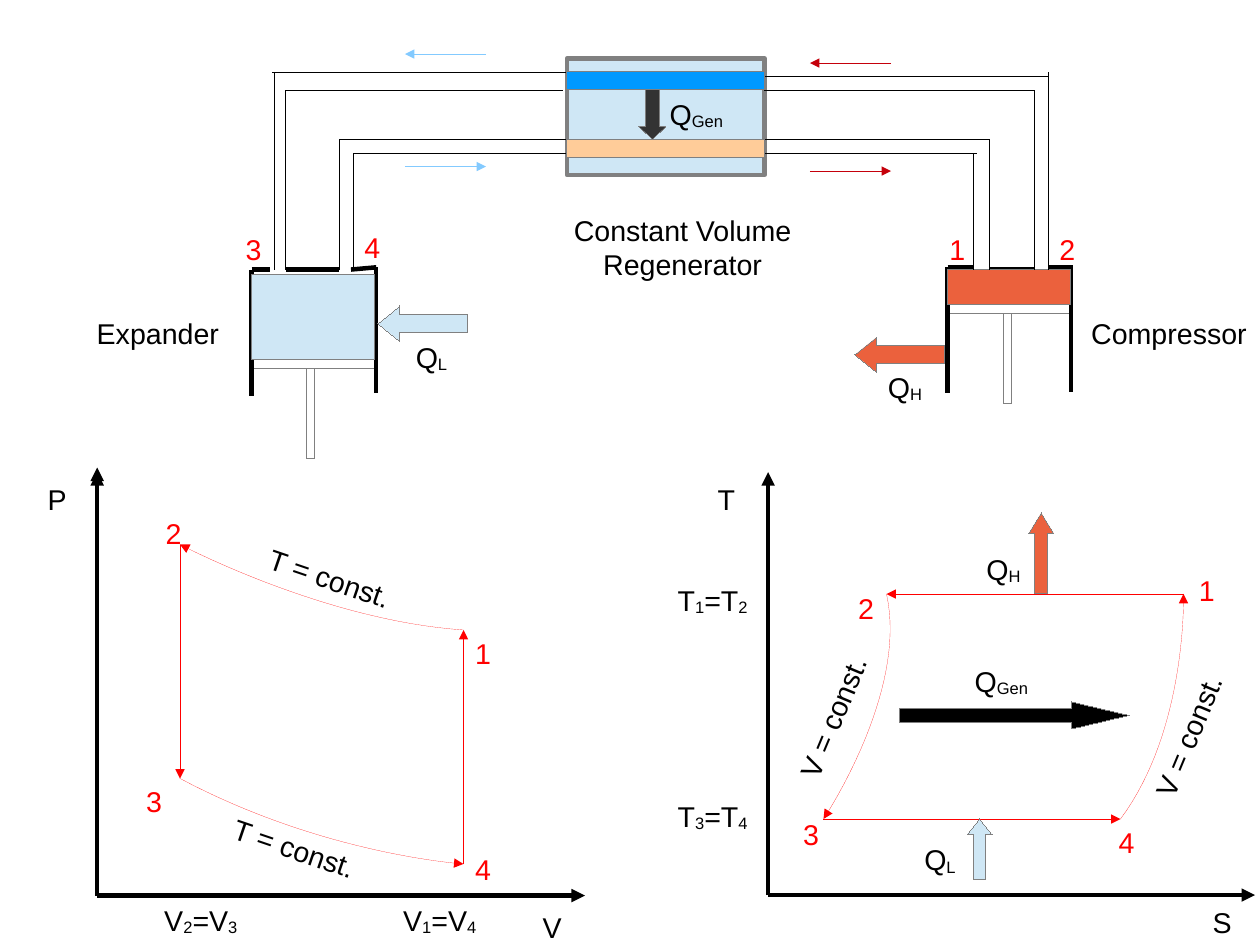
"""Build a slide of a regenerative engine with its P-V and T-S diagrams."""
from typing import NamedTuple

from lxml.etree import SubElement
from pptx import Presentation
from pptx.dml.color import RGBColor
from pptx.enum.shapes import MSO_CONNECTOR, MSO_SHAPE as Preset
from pptx.enum.text import MSO_AUTO_SIZE, PP_ALIGN
from pptx.oxml.ns import qn
from pptx.util import Cm, Pt

COLUMNS, ROWS = 28, 21
WIDTH, HEIGHT = Cm(28), Cm(21)
BLACK, WHITE = RGBColor(0, 0, 0), RGBColor(255, 255, 255)
RED, DARK_RED = RGBColor(255, 0, 0), RGBColor(0xC5, 0, 0x0B)
GRAY, CHARCOAL = RGBColor(0x80, 0x80, 0x80), RGBColor(0x33, 0x33, 0x33)
COLD, HOT = RGBColor(0xCF, 0xE7, 0xF5), RGBColor(0xEB, 0x61, 0x3D)
BLUE, PEACH = RGBColor(0, 0x99, 0xFF), RGBColor(0xFF, 0xCC, 0x99)
SKY = RGBColor(0x83, 0xCA, 0xFF)
HAIRLINE, THICK = 0, 2.83
DECK = 5.99
Point = tuple[float, float]


class Stroke(NamedTuple):
    start: Point
    end: Point
    color: RGBColor = BLACK
    weight: float = HAIRLINE
    arrow: bool = False


class Block(NamedTuple):
    left: float
    top: float
    width: float
    height: float
    fill: RGBColor
    preset: Preset = Preset.RECTANGLE
    head: float = 0
    weight: float = HAIRLINE


class PipeWall(NamedTuple):
    inner: float
    outer: float
    level: float
    riser: float
    top: float


class Cylinder(NamedTuple):
    left: float
    piston: float
    gas_top: float
    gas: RGBColor
    walls: tuple[Stroke, ...]


class Label(NamedTuple):
    """Text whose odd parts, split at bars, are subscripts."""
    text: str
    left: float
    top: float
    width: float = 0.79
    wrap: bool = True
    rotation: float = 0


def wall(x1: float, y1: float, x2: float, y2: float) -> Stroke:
    return Stroke((x1, y1), (x2, y2), weight=THICK)


PV = {1: (10.3, 14), 2: (4, 12.1), 3: (4, 17.3), 4: (10.3, 19.2)}
TS = {1: (26.3, 13.2), 2: (19.7, 13.2), 3: (18.3, 18.2), 4: (24.9, 18.2)}
AXES = [Stroke(start, end, weight=THICK, arrow=True) for start, end in (
    ((17.07, 19.89), (27.89, 19.89)), ((17.07, 19.89), (17.07, 10.49)),
    ((2.16, 19.9), (2.16, 10.49)), ((2.16, 19.9), (13, 19.9)),
    ((2.16, 19.8), (2.16, 10.39)))]
PROCESSES = [Stroke(states[a], states[b], RED, arrow=True)
             for states, a, b in ((PV, 2, 3), (PV, 4, 1), (TS, 1, 2), (TS, 3, 4))]
CURVES = ((PV[1], (7.19, 13.79), PV[2]), (PV[3], (7.19, 19), PV[4]),
          (TS[2], (20.19, 15.39), TS[3]), (TS[4], (26.39, 16.21), TS[1]))
FLOWS = [Stroke((start, y), (end, y), color, arrow=True) for start, end, y, color in (
    (18, 19.8, 3.8, DARK_RED), (19.8, 18, 1.4, DARK_RED),
    (10.8, 9, 1.2, SKY), (9, 10.8, 3.7, SKY))]
CYLINDERS = (
    Cylinder(5.59, 8, 6.1, COLD, (
        wall(5.59, 5.99, 5.59, 8.79), wall(8.36, 5.94, 8.36, 8.74),
        wall(5.59, 5.99, 5.99, 5.99), wall(7.8, 5.99, 8.36, 5.94),
        wall(6.35, 5.99, 7.54, 5.99))),
    Cylinder(21.06, 6.76, 5.99, HOT, (
        wall(21.06, 5.94, 21.06, 8.74), wall(23.8, 5.89, 23.8, 8.71),
        wall(22, 5.99, 22.99, 5.99), wall(21.06, 5.94, 21.64, 5.94),
        wall(23.29, 5.94, 23.75, 5.94))))
PIPES = (
    PipeWall(12.6, 7.85, 3.4, 7.85, 3.4), PipeWall(12.6, 7.54, 3.1, 7.54, 3.1),
    PipeWall(16.94, 21.69, 3.4, 21.64, 3.4), PipeWall(16.94, 22, 3.1, 22, 3.1),
    PipeWall(16.99, 22.99, 2, 22.99, 2), PipeWall(16.99, 23.29, 1.7, 23.29, 1.6),
    PipeWall(12.5, 6.35, 2, 6.35, 2), PipeWall(12.6, 6.05, 1.6, 6.1, 1.6))
REGENERATOR = Block(12.6, 1.3, 4.39, 2.59, COLD, weight=THICK)
STREAMS = [Block(12.6, top, 4.39, 0.4, fill) for top, fill in ((3.1, PEACH), (1.6, BLUE))]
HEAT_ARROWS = (
    Block(22.86, 11.4, 0.56, 1.8, HOT, Preset.UP_ARROW, 0.82),
    Block(21.49, 18.2, 0.56, 1.35, COLD, Preset.UP_ARROW, 0.62),
    Block(8.4, 6.8, 2, 0.79, COLD, Preset.LEFT_ARROW, 0.62),
    Block(19, 7.49, 2, 0.79, HOT, Preset.LEFT_ARROW, 0.62),
    Block(14.2, 2, 0.6, 1.09, CHARCOAL, Preset.DOWN_ARROW, 0.46),
    Block(19.99, 15.6, 5.1, 0.6, BLACK, Preset.RIGHT_ARROW, 2.12))
LABELS = (
    Label("S", 26.7, 19.99, 0.91, False), Label("T", 15.7, 10.59, 0.81),
    Label("V", 11.81, 20.09, 0.91, False), Label("P", 0.81, 10.59, 0.81),
    Label("1", 26.39, 12.6), Label("2", 18.82, 13),
    Label("3", 17.6, 18.03), Label("4", 24.61, 18.21),
    Label("1", 10.31, 14), Label("2", 3.43, 11.35),
    Label("3", 3, 17.3, 0.94), Label("4", 10.31, 18.8),
    Label("1", 20.85, 5.03), Label("2", 23.29, 5.03),
    Label("3", 5.21, 5.03, 0.94), Label("4", 7.85, 4.98),
    Label("V|2|=V|3", 3.4, 19.94, 2.13, False),
    Label("V|1|=V|4", 8.71, 19.94, 2.13, False),
    Label("T|3|=T|4", 14.81, 17.63, 2.06, False),
    Label("T|1|=T|2", 14.81, 12.83, 2.06, False),
    Label("Q|H", 21.67, 12.14, 1.47), Label("Q|L", 20.29, 18.59, 1.35),
    Label("Q|L", 8.99, 7.42, 1.35), Label("Q|H", 19.48, 8.1, 1.47),
    Label("Q|Gen", 14.63, 2.03, 2.31), Label("Q|Gen", 21.41, 14.63, 2.31),
    Label("Expander", 1.9, 6.9, 3.23, False),
    Label("Compressor", 24, 6.9, 3.96, False),
    Label("Constant Volume\nRegenerator", 12.42, 4.6, 5.5, False),
    Label("V = const.", 16.81, 15.44, 3.35, False, 292.7),
    Label("V = const.", 24.71, 15.85, 3.35, False, 292.7),
    Label("T = const.", 5.69, 12.34, 3.3, False, 18.8),
    Label("T = const.", 4.9, 18.34, 3.3, False, 18.8))


def col(count: float) -> int:
    return round(WIDTH * count / COLUMNS)


def row(count: float) -> int:
    return round(HEIGHT * count / ROWS)


def style_line(line, color: RGBColor, weight: float, arrow: bool = False) -> None:
    line.color.rgb = color
    outline = line._get_or_add_ln()
    outline.set("w", str(int(Pt(weight))))
    if arrow:
        SubElement(outline, qn("a:tailEnd"), type="triangle")


def draw_stroke(shapes, stroke: Stroke) -> None:
    (x1, y1), (x2, y2) = stroke.start, stroke.end
    link = shapes.add_connector(MSO_CONNECTOR.STRAIGHT, col(x1), row(y1), col(x2), row(y2))
    style_line(link.line, stroke.color, stroke.weight, stroke.arrow)
    SubElement(link._element.spPr, qn("a:effectLst"))


def draw_block(shapes, block: Block) -> None:
    shape = shapes.add_shape(block.preset, col(block.left), row(block.top),
                             col(block.width), row(block.height))
    if block.head:
        shape.adjustments[0], shape.adjustments[1] = 0.5, block.head
    shape.fill.solid()
    shape.fill.fore_color.rgb = block.fill
    style_line(shape.line, GRAY, block.weight)
    shape.shadow.inherit = False


def draw_curve(shapes, start: Point, bend: Point, end: Point, steps: int = 32) -> None:
    """Trace a cubic curve whose second control point is its end."""
    points = []
    for step in range(steps + 1):
        t = step / steps
        u = 1 - t
        x, y = (u**3 * a + 3 * u * u * t * b + (3 * u + t) * t * t * c
                for a, b, c in zip(start, bend, end))
        points.append((col(x), row(y)))
    builder = shapes.build_freeform(*points[0])
    builder.add_line_segments(points[1:], close=False)
    curve = builder.convert_to_shape()
    curve.fill.background()
    style_line(curve.line, RED, HAIRLINE, True)
    curve.shadow.inherit = False


def draw_cylinder(shapes, cylinder: Cylinder) -> None:
    left, piston, gas_top = cylinder[:3]
    draw_block(shapes, Block(left + 1.23, piston + 0.2, 0.18, 2, WHITE))
    draw_block(shapes, Block(left, piston, 2.74, 0.2, WHITE))
    for side in cylinder.walls:
        draw_stroke(shapes, side)
    draw_block(shapes, Block(left, gas_top, 2.74, piston - gas_top, cylinder.gas))


def draw_pipe(shapes, pipe: PipeWall) -> None:
    draw_stroke(shapes, Stroke((pipe.inner, pipe.level), (pipe.outer, pipe.level)))
    draw_stroke(shapes, Stroke((pipe.riser, pipe.top), (pipe.riser, DECK)))


def draw_label(shapes, label: Label) -> None:
    lines = label.text.split("\n")
    height = 1.17 if "|" in label.text else 0.26 + 0.71 * len(lines)
    box = shapes.add_textbox(col(label.left), row(label.top), col(label.width), row(height))
    box.rotation = label.rotation
    frame = box.text_frame
    frame.word_wrap = label.wrap
    frame.auto_size = MSO_AUTO_SIZE.SHAPE_TO_FIT_TEXT
    for index, line in enumerate(lines):
        paragraph = frame.add_paragraph() if index else frame.paragraphs[0]
        paragraph.alignment = PP_ALIGN.CENTER if len(lines) > 1 else PP_ALIGN.LEFT
        for place, part in enumerate(line.split("|")):
            run = paragraph.add_run()
            run.text = part
            run.font.name, run.font.size = "Arial", Pt(18)
            run.font.color.rgb = RED if label.text.isdigit() else BLACK
            if place % 2:
                run._r.get_or_add_rPr().set("baseline", "-8000")


def main() -> None:
    deck = Presentation()
    deck.slide_width = WIDTH
    deck.slide_height = HEIGHT
    shapes = deck.slides.add_slide(deck.slide_layouts[6]).shapes
    for stroke in (*AXES, *PROCESSES, *FLOWS):
        draw_stroke(shapes, stroke)
    for curve in CURVES:
        draw_curve(shapes, *curve)
    for cylinder in CYLINDERS:
        draw_cylinder(shapes, cylinder)
    draw_block(shapes, REGENERATOR)
    for pipe in PIPES:
        draw_pipe(shapes, pipe)
    for block in (*STREAMS, *HEAT_ARROWS):
        draw_block(shapes, block)
    for label in LABELS:
        draw_label(shapes, label)
    deck.save("out.pptx")


if __name__ == "__main__":
    main()
